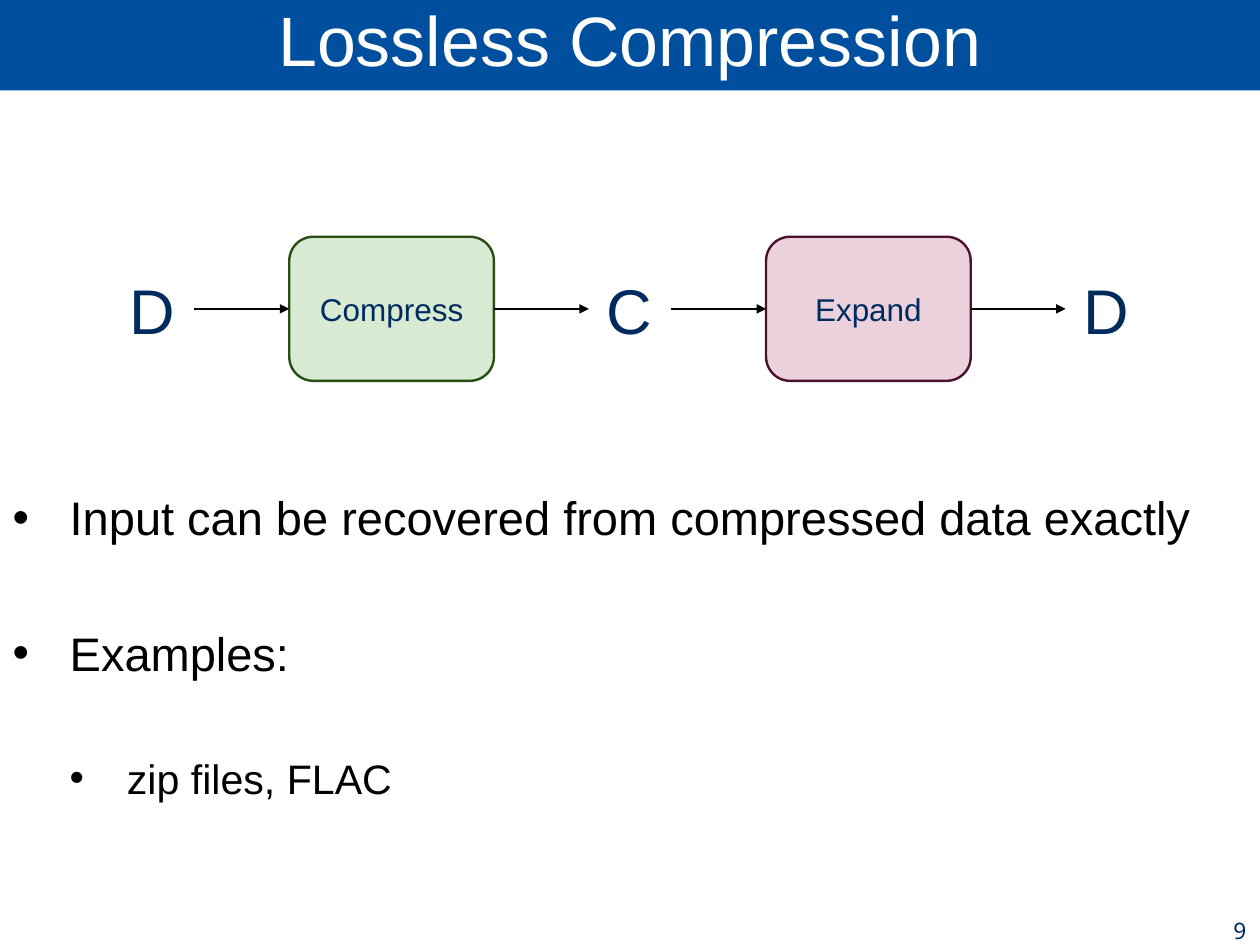
from pptx import Presentation
from pptx.dml.color import RGBColor
from pptx.enum.shapes import MSO_CONNECTOR, MSO_SHAPE
from pptx.enum.text import MSO_ANCHOR, PP_ALIGN
from pptx.oxml.ns import qn
from pptx.util import Pt
from lxml import etree

PX = 9144  # EMU per px, 100 px to the inch
RECT, ROUND = MSO_SHAPE.RECTANGLE, MSO_SHAPE.ROUNDED_RECTANGLE
LINE = MSO_CONNECTOR.STRAIGHT
LEFT, MID, RIGHT = PP_ALIGN.LEFT, PP_ALIGN.CENTER, PP_ALIGN.RIGHT
TOP, CENTER, BOTTOM = MSO_ANCHOR.TOP, MSO_ANCHOR.MIDDLE, MSO_ANCHOR.BOTTOM

WIDE, HIGH = 1102, 827
STEP = 417  # from one stage of the flow to the next
FLOW_TOP, FLOW_HIGH = 207, 126
COLORS = {
    "blue": "004F9E", "navy": "002B5E", "white": "FFFFFF", "black": "000000",
    "green": "D9EAD3", "forest": "274E13", "pink": "EAD1DC", "wine": "4C1130",
}


def color(name):
    return RGBColor.from_string(COLORS[name])


def emu(*sizes):
    return [size * PX for size in sizes]


def set_frame(shape, anchor, pad=11):
    frame = shape.text_frame
    frame.word_wrap = True
    frame.vertical_anchor = anchor
    frame.margin_left = frame.margin_right = 11 * PX
    frame.margin_top = frame.margin_bottom = pad * PX
    return frame


def set_font(para, size, ink, font="Arial"):
    for run in para.runs:
        run.font.size = Pt(size)
        run.font.name = font
        run.font.color.rgb = color(ink)


def set_text(shape, text, size, ink, align=MID, anchor=CENTER, pad=11, font="Arial"):
    frame = set_frame(shape, anchor, pad)
    frame.text = text
    para = frame.paragraphs[0]
    para.alignment = align
    set_font(para, size, ink, font)
    return para


def add_label(slide, box, text, size, **style):
    label = slide.shapes.add_textbox(*emu(*box))
    set_text(label, text, size, "navy", **style)


def add_block(slide, kind, box, fill, edge=None):
    block = slide.shapes.add_shape(kind, *emu(*box))
    block.shadow.inherit = False
    block.fill.solid()
    block.fill.fore_color.rgb = color(fill)
    if edge:
        block.line.color.rgb = color(edge)
        block.line.width = Pt(1.5)
    else:
        block.line.fill.background()
    return block


def add_title(slide, text):
    bar = add_block(slide, RECT, (0, 0, WIDE, 79), "blue")
    para = set_text(bar, text, 44, "white", anchor=BOTTOM)
    para.line_spacing = 0.69


def add_stage(slide, left, text, fill, edge):
    box = (left, FLOW_TOP, 179, FLOW_HIGH)
    stage = add_block(slide, ROUND, box, fill, edge)
    set_text(stage, text, 19.8, "navy")


def add_arrow(slide, left):
    y = FLOW_TOP + FLOW_HIGH // 2
    arrow = slide.shapes.add_connector(LINE, *emu(left, y, left + 83, y))
    arrow.line.color.rgb = color("black")
    arrow.line.width = Pt(1.5)
    etree.SubElement(arrow.line._get_or_add_ln(), qn("a:tailEnd"), type="triangle")
    etree.SubElement(arrow._element.spPr, qn("a:effectLst"))


def add_flow(slide):
    for i, letter in enumerate("DCD"):
        box = (55 + i * STEP, FLOW_TOP, 157, FLOW_HIGH)
        add_label(slide, box, letter, 39.7)
    stages = [("Compress", "green", "forest"), ("Expand", "pink", "wine")]
    for i, stage in enumerate(stages):
        add_stage(slide, 253 + i * STEP, *stage)
        for left in (170, 432):
            add_arrow(slide, left + i * STEP)


def set_bullet(para, level):
    para.level = level
    props = para._p.get_or_add_pPr()
    props.set("marL", str(50 * (level + 1) * PX))
    props.set("indent", str(-50 * PX))
    tint = etree.SubElement(props, qn("a:buClr"))
    etree.SubElement(tint, qn("a:srgbClr"), val=COLORS["black"])
    etree.SubElement(props, qn("a:buFont"), typeface="Arial")
    etree.SubElement(props, qn("a:buChar"), char="•")


def add_points(slide, box, points):
    """Fill a list from pairs of level and text."""
    body = slide.shapes.add_textbox(*emu(*box))
    frame = set_frame(body, TOP)
    frame.text = "\n".join(text for _, text in points)
    for para, (level, _) in zip(frame.paragraphs, points):
        size, gap = [(29.6, 14.3), (25.9, 11.4)][level]
        para.alignment = LEFT
        para.line_spacing = 2.0
        para.space_after = Pt(gap)
        set_bullet(para, level)
        set_font(para, size, "black")


def main():
    deck = Presentation()
    deck.slide_width, deck.slide_height = emu(WIDE, HIGH)
    slide = deck.slides.add_slide(deck.slide_layouts[6])
    add_title(slide, "Lossless Compression")
    add_points(slide, (0, 367, WIDE, 434), [
        (0, "Input can be recovered from compressed data exactly"),
        (0, "Examples:"),
        (1, "zip files, FLAC"),
    ])
    add_flow(slide)
    add_label(slide, (848, 800, 253, 27), "9", 14.3,
              align=RIGHT, pad=0, font="Noto Sans")
    deck.save("out.pptx")


if __name__ == "__main__":
    main()
